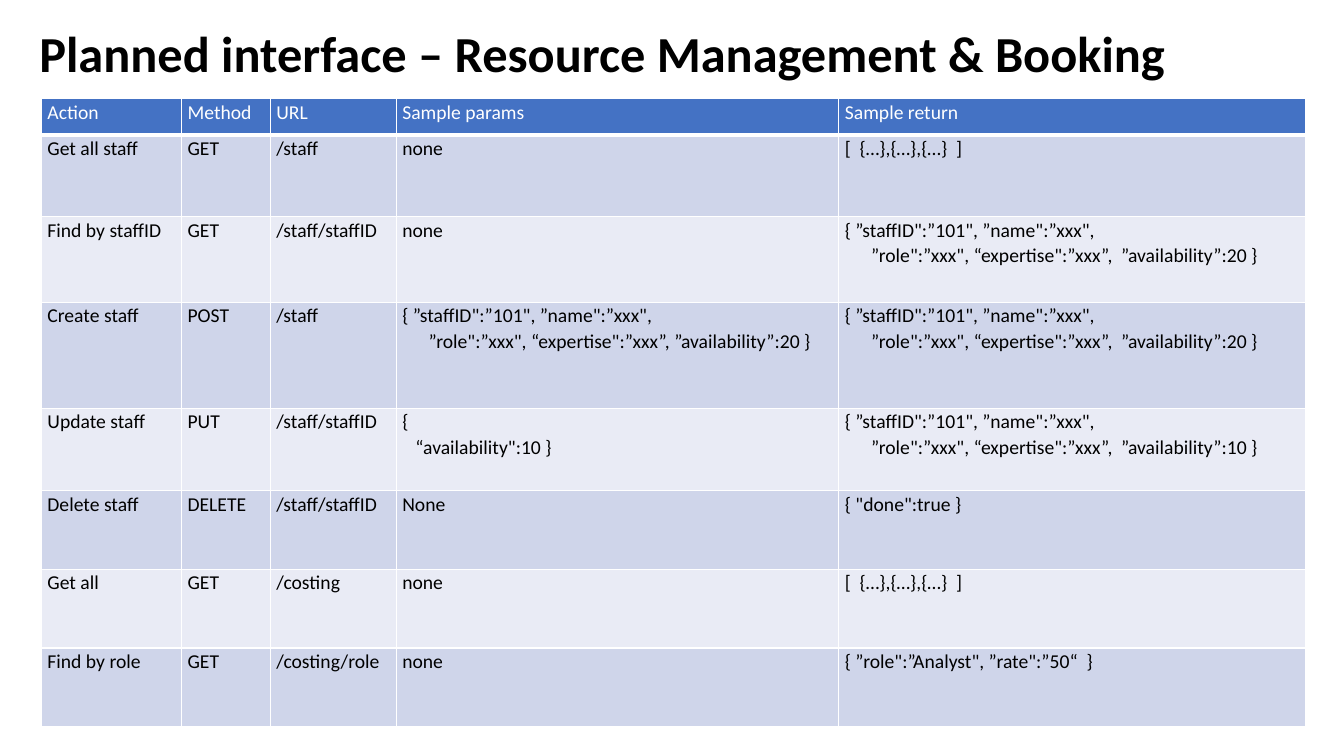
from lxml import etree
from pptx import Presentation
from pptx import util as u
from pptx.dml.color import RGBColor
from pptx.enum import text
from pptx.oxml import ns

WIDE, HIGH = u.Inches(13.33), u.Inches(7.5)
FONT = "Calibri"
HUES = {"ink": "000000", "paper": "FFFFFF", "head": "4472C4",
        "odd": "CFD5EA", "even": "E9EBF5"}
COLS = [10.43, 6.6, 9.38, 32.93, 34.73]  # percent of the slide's width
ROWS = [4.8, 10.8, 11.33, 14, 10.93, 10.4, 10.4, 10.4]  # percent of its height
STEP = u.Inches(0.13)  # one tab of indent in the samples


def staff(free, gap="  "):
    """Give the two lines of a staff record; a tab marks an indent step."""
    return ("{ ”staffID\":”101\", ”name\":”xxx\",\n"
            f"\t\t”role\":”xxx\", “expertise\":”xxx”,{gap}”availability”:{free} }}")


LIST = "[  {…},{…},{…}  ]"
CALLS = [
    ("Action", "Method", "URL", "Sample params", "Sample return"),
    ("Get all staff", "GET", "/staff", "none", LIST),
    ("Find by staffID", "GET", "/staff/staffID", "none", staff(20)),
    ("Create staff", "POST", "/staff", staff(20, " "), staff(20)),
    ("Update staff", "PUT", "/staff/staffID", "{\n\t“availability\":10 }", staff(10)),
    ("Delete staff", "DELETE", "/staff/staffID", "None", "{ \"done\":true }"),
    ("Get all", "GET", "/costing", "none", LIST),
    ("Find by role", "GET", "/costing/role", "none", "{ ”role\":”Analyst\", ”rate\":”50“  }"),
]


def across(pct):
    """Turn a percentage of the slide's width into a length."""
    return u.Emu(round(WIDE * pct / 100))


def down(pct):
    """Turn a percentage of the slide's height into a length."""
    return u.Emu(round(HIGH * pct / 100))


def style(para, size, hue, bold, space):
    """Format a paragraph and its runs."""
    para.line_spacing = space
    para.alignment = text.PP_ALIGN.LEFT
    for run in para.runs:
        font = run.font
        font.name, font.size, font.bold = FONT, u.Pt(size), bold
        font.color.rgb = RGBColor.from_string(HUES[hue])


def title(slide, words):
    """Place and format the slide's title."""
    box = slide.shapes.title
    box.left, box.top = across(2.18), 0
    box.width, box.height = across(86.27), down(14.93)
    frame = box.text_frame
    frame.text = words
    frame.word_wrap = True
    frame.auto_size = text.MSO_AUTO_SIZE.NONE
    frame.vertical_anchor = text.MSO_ANCHOR.MIDDLE
    style(frame.paragraphs[0], 36, "ink", True, 0.9)


def edge(cell):
    """Draw the borders of a header cell, thick at the bottom."""
    props = cell._tc.get_or_add_tcPr()
    for spot, (side, size) in enumerate(zip("LRTB", (1, 1, 1, 3))):
        line = etree.Element(ns.qn(f"a:ln{side}"), w=str(u.Pt(size)))
        fill = etree.SubElement(line, ns.qn("a:solidFill"))
        etree.SubElement(fill, ns.qn("a:srgbClr"), val=HUES["paper"])
        props.insert(spot, line)


def fill(cell, words, ground, hue):
    """Write one cell, turning tabs into indents."""
    cell.margin_left = cell.margin_right = u.Inches(0.06)
    cell.margin_top = cell.margin_bottom = 0
    cell.fill.solid()
    cell.fill.fore_color.rgb = RGBColor.from_string(HUES[ground])
    cell.text_frame.text = words.replace("\t", "")
    for para, line in zip(cell.text_frame.paragraphs, words.split("\n")):
        style(para, 14, hue, False, 1.07)
        tabs = line.count("\t")
        if tabs:
            para._p.get_or_add_pPr().set("marL", str(tabs * STEP))


def grid(slide, data):
    """Build the table of calls with a header and banded rows."""
    table = slide.shapes.add_table(
        len(ROWS), len(COLS), across(3.08), down(13.07),
        across(sum(COLS)), down(sum(ROWS))).table
    for col, pct in zip(table.columns, COLS):
        col.width = across(pct)
    for row, pct in zip(table.rows, ROWS):
        row.height = down(pct)
    for r, line in enumerate(data):
        ground = ("odd" if r % 2 else "even") if r else "head"
        for c, words in enumerate(line):
            cell = table.cell(r, c)
            fill(cell, words, ground, "ink" if r else "paper")
            if r == 0:
                edge(cell)


def main():
    """Build the slide and save it."""
    deck = Presentation()
    deck.slide_width, deck.slide_height = WIDE, HIGH
    slide = deck.slides.add_slide(deck.slide_layouts[5])
    title(slide, "Planned interface – Resource Management & Booking")
    grid(slide, CALLS)
    deck.save("out.pptx")


main()
